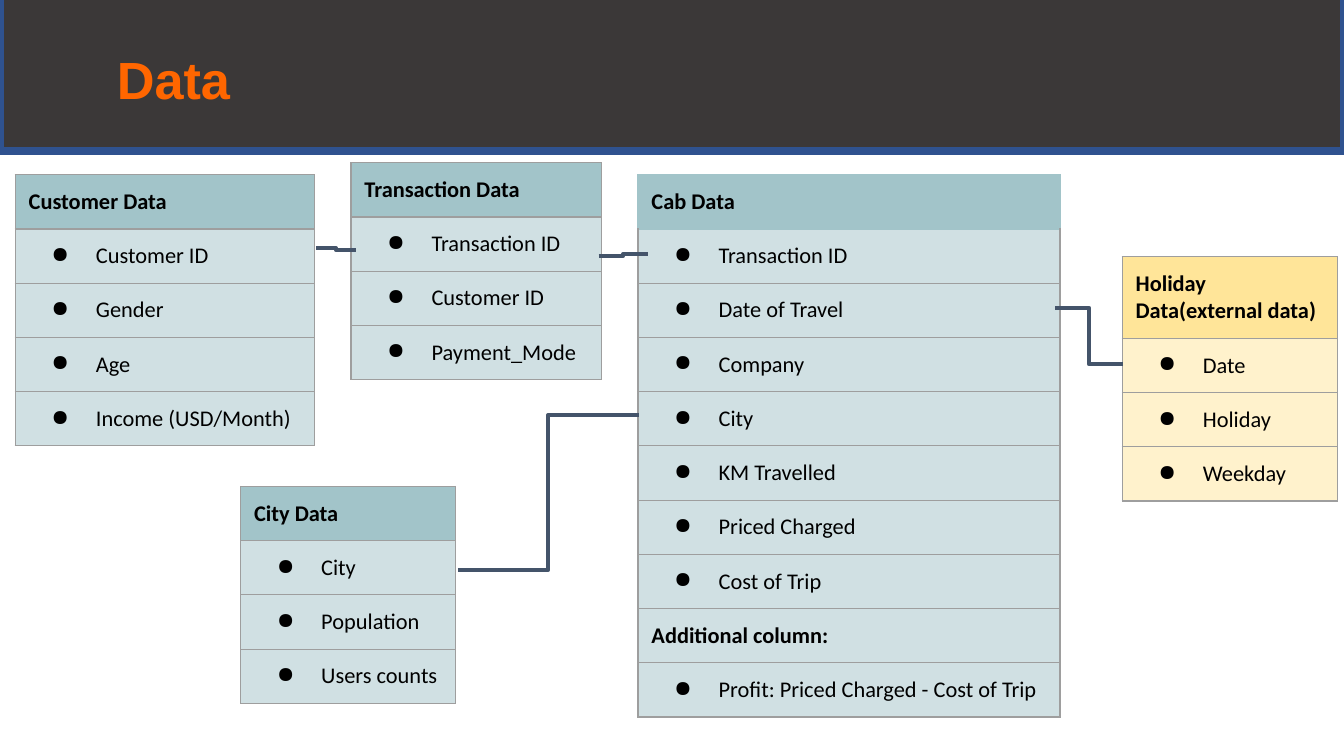
from dataclasses import dataclass

from lxml.etree import SubElement
from pptx import Presentation
from pptx.dml.color import RGBColor
from pptx.enum.shapes import MSO_CONNECTOR
from pptx.enum.text import MSO_ANCHOR, PP_ALIGN
from pptx.oxml import parse_xml
from pptx.oxml.ns import nsdecls, qn
from pptx.util import Pt


@dataclass(frozen=True)
class Theme:
    band: str = "3B3838"
    band_edge: str = "2F528F"
    title: str = "FF6600"
    text: str = "000000"
    border: str = "9E9E9E"
    link: str = "44546A"
    internal: tuple = ("A2C4C9", "D0E0E3")
    external: tuple = ("FFE599", "FFF2CC")
    title_font: str = "Arial"
    body_font: str = "Calibri"
    title_size: float = 28
    body_size: float = 12
    inset: float = 7.2
    row_height: float = 28.8


THEME = Theme()
WIDTH, HEIGHT, BAND_HEIGHT = 720, 405, 81

ENTITIES = [
    ("City Data", ["City", "Population", "Users counts"],
     (128.9, 260.6, 115.2), THEME.internal),
    ("Customer Data", ["Customer ID", "Gender", "Age", "Income (USD/Month)"],
     (8.2, 93.6, 160.2), THEME.internal),
    ("Holiday Data(external data)", ["Date", "Holiday", "Weekday"],
     (601.2, 137.6, 115.2), THEME.external),
    ("Transaction Data", ["Transaction ID", "Customer ID", "Payment_Mode"],
     (188, 87.2, 134.2), THEME.internal),
    ("Cab Data",
     ["Transaction ID", "Date of Travel", "Company", "City", "KM Travelled",
      "Priced Charged", "Cost of Trip", "Additional column:",
      "Profit: Priced Charged - Cost of Trip"],
     (341.8, 93.6, 226.1), THEME.internal),
]

LINKS = [
    (169.2, 132.9, 190.8, 133.9),
    (320.7, 137.1, 347, 136.1),
    (245.3, 305.2, 342.2, 222.4),
    (565.4, 165, 601.5, 195.1),
]


def color(code):
    return RGBColor.from_string(code)


def style_runs(paragraph, font_name, size, code, bold):
    for run in paragraph.runs:
        run.font.name = font_name
        run.font.size = Pt(size)
        run.font.bold = bold
        run.font.color.rgb = color(code)


def set_insets(holder):
    holder.margin_left = holder.margin_right = Pt(THEME.inset)
    holder.margin_top = holder.margin_bottom = Pt(THEME.inset)


def add_outline(slide, corners, closed):
    start, *rest = [(Pt(x), Pt(y)) for x, y in corners]
    builder = slide.shapes.build_freeform(*start)
    builder.add_line_segments(rest, close=closed)
    outline = builder.convert_to_shape()
    outline.shadow.inherit = False
    return outline


def add_band(slide):
    corners = [(WIDTH, 0), (WIDTH, BAND_HEIGHT), (0, BAND_HEIGHT), (0, 0)]
    band = add_outline(slide, corners, True)
    band.fill.solid()
    band.fill.fore_color.rgb = color(THEME.band)
    band.line.fill.background()
    edge = add_outline(slide, corners, False)
    edge.fill.background()
    edge.line.color.rgb = color(THEME.band_edge)
    edge.line.width = Pt(4.17)
    return edge


def set_title(slide, text, behind):
    title = slide.shapes.title
    title.left, title.top, title.width, title.height = Pt(55.4), Pt(15.1), Pt(455), Pt(41.8)
    frame = title.text_frame
    frame.text = text
    frame.word_wrap = True
    frame.vertical_anchor = MSO_ANCHOR.TOP
    set_insets(frame)
    frame.margin_top = Pt(10.4)
    frame.paragraphs[0].alignment = PP_ALIGN.LEFT
    style_runs(frame.paragraphs[0], THEME.title_font, THEME.title_size, THEME.title, True)
    behind._element.addnext(title._element)


def add_bullet(paragraph):
    properties = paragraph._p.get_or_add_pPr()
    properties.set("marL", str(Pt(36)))
    properties.set("indent", str(Pt(-23.8)))
    bullet_color = SubElement(properties, qn("a:buClr"))
    SubElement(bullet_color, qn("a:srgbClr")).set("val", THEME.text)
    SubElement(properties, qn("a:buChar")).set("char", "●")


def set_borders(cell, codes):
    properties = cell._tc.get_or_add_tcPr()
    for index, (side, code) in enumerate(zip("LRTB", codes)):
        properties.insert(index, parse_xml(
            f'<a:ln{side} {nsdecls("a")} w="{Pt(0.75)}"><a:solidFill>'
            f'<a:srgbClr val="{code}"/></a:solidFill></a:ln{side}>'))


def fill_cell(cell, text, fill, heading, bulleted, borders):
    cell.text_frame.text = text
    set_insets(cell)
    cell.fill.solid()
    cell.fill.fore_color.rgb = color(fill)
    set_borders(cell, borders)
    paragraph = cell.text_frame.paragraphs[0]
    style_runs(paragraph, THEME.body_font, THEME.body_size, THEME.text, heading)
    if bulleted:
        add_bullet(paragraph)


def add_entity(slide, name, fields, place, fills):
    left, top, width = place
    labels = [name, *fields]
    table = slide.shapes.add_table(
        len(labels), 1, Pt(left), Pt(top), Pt(width),
        Pt(THEME.row_height * len(labels))).table
    table.first_row = table.horz_banding = False
    header_fill, field_fill = fills
    header_border = header_fill if name == "Cab Data" else THEME.border
    for index, label in enumerate(labels):
        table.rows[index].height = Pt(THEME.row_height)
        is_header = index == 0
        heading = is_header or label.endswith(":")
        side = header_border if is_header else THEME.border
        upper = header_border if index <= 1 else THEME.border
        fill_cell(table.cell(index, 0), label, header_fill if is_header else field_fill,
                  heading, not heading, (side, side, upper, side))


def add_link(slide, ends):
    link = slide.shapes.add_connector(MSO_CONNECTOR.ELBOW, *map(Pt, ends))
    link.line.color.rgb = color(THEME.link)
    link.line.width = Pt(2.25)
    SubElement(link._element.spPr, qn("a:effectLst"))


def main():
    deck = Presentation()
    deck.slide_width, deck.slide_height = Pt(WIDTH), Pt(HEIGHT)
    slide = deck.slides.add_slide(deck.slide_layouts[5])
    set_title(slide, "Data", add_band(slide))
    for entity in ENTITIES:
        add_entity(slide, *entity)
    for ends in LINKS:
        add_link(slide, ends)
    deck.save("out.pptx")


if __name__ == "__main__":
    main()
